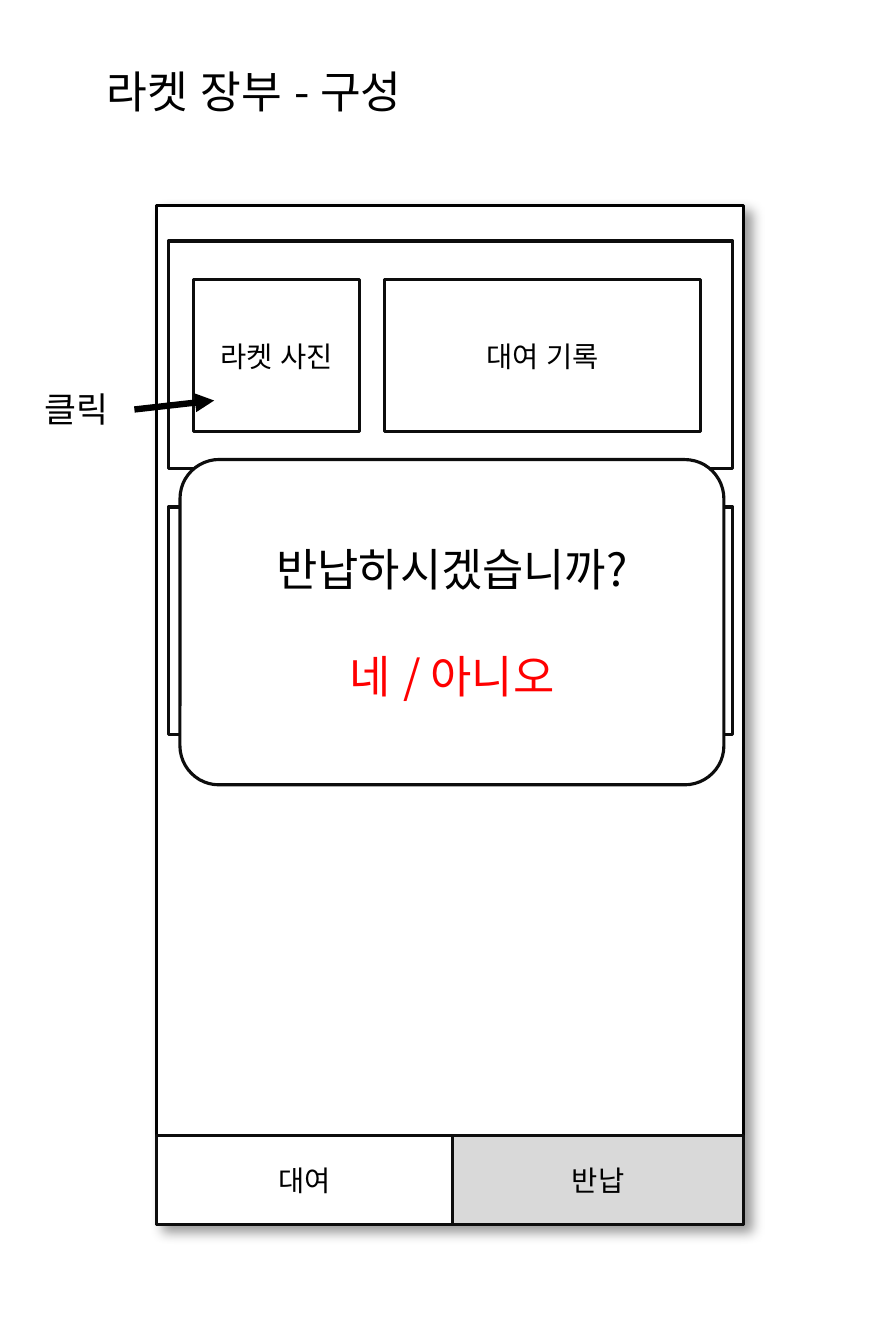
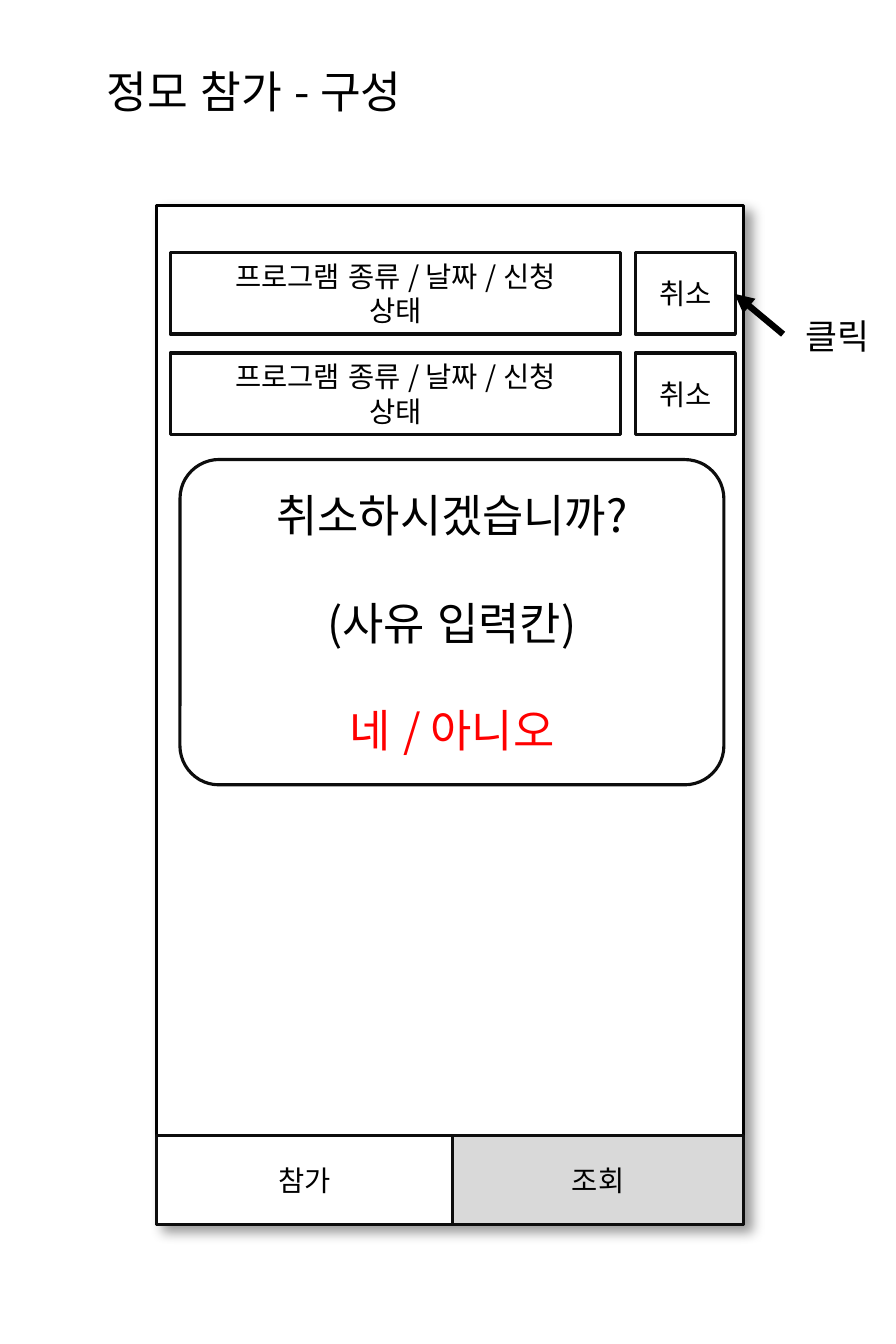
from typing import NamedTuple

from lxml.etree import SubElement
from pptx import Presentation
from pptx.dml.color import RGBColor
from pptx.enum.lang import MSO_LANGUAGE_ID as Language
from pptx.enum.shapes import MSO_CONNECTOR as Connector, MSO_SHAPE as Shape
from pptx.enum.text import MSO_ANCHOR as Anchor, MSO_AUTO_SIZE as AutoSize, PP_ALIGN as Align
from pptx.oxml.ns import qn
from pptx.util import Cm, Pt

BLACK = RGBColor(0x00, 0x00, 0x00)
OUTLINE = RGBColor(0x0D, 0x0D, 0x0D)
WHITE = RGBColor(0xFF, 0xFF, 0xFF)
GREY = RGBColor(0xD9, 0xD9, 0xD9)
RED = RGBColor(0xFF, 0x00, 0x00)
FONT = "Noto Sans CJK KR"
LINE_HEIGHT = 1.2
TITLE_ONLY = 5


class Area(NamedTuple):
    """Position and size in centimetres."""
    left: float
    top: float
    width: float
    height: float

    def lengths(self) -> list[Cm]:
        return [Cm(value) for value in self]

    def below(self, distance: float) -> "Area":
        return self._replace(top=self.top + distance)


class Point(NamedTuple):
    x: float
    y: float


class Line(NamedTuple):
    text: str
    color: RGBColor = BLACK


class Click(NamedTuple):
    """A click label with its arrow."""
    label: Area
    start: Point
    end: Point


TITLE = Area(0.94, 0.58, 4.09, 0.86)
PHONE = Area(1.75, 2.29, 6.55, 11.38)
TAB_HEIGHT = 1.0
TAB_WIDTH = 3.3
DIALOG = Area(2.01, 5.13, 6.07, 3.63)
ANSWER = Line("네 / 아니오", RED)

CARD = Area(1.88, 2.69, 6.3, 2.54)
CARD_PITCH = 2.97
PHOTO = Area(2.16, 3.12, 1.85, 1.7)
RECORD = Area(4.29, 3.12, 3.53, 1.7)

PROGRAM = Area(1.9, 2.82, 5.03, 0.91)
CANCEL = Area(7.09, 2.82, 1.12, 0.91)
ROW_PITCH = 1.12


def write(frame, *lines: Line, size: float = 9, align=Align.CENTER,
          wrap: bool = True, inset: float = 0.25, gap: float = 0) -> None:
    """Fill a text frame with one paragraph per line, gap points apart."""
    frame.auto_size = AutoSize.NONE
    frame.word_wrap = wrap
    frame.vertical_anchor = Anchor.MIDDLE
    frame.margin_left = frame.margin_right = Cm(inset)
    frame.margin_top = frame.margin_bottom = Cm(0.13)
    for index, line in enumerate(lines):
        para = frame.add_paragraph() if index else frame.paragraphs[0]
        para.alignment = align
        para.line_spacing = Pt(size * LINE_HEIGHT)
        para.space_before = Pt(gap if index else 0)
        span = para.add_run()
        span.text = line.text
        span.font.size = Pt(size)
        span.font.name = FONT
        span.font.color.rgb = line.color
        span.font.language_id = Language.KOREAN
        SubElement(span.font._element, qn("a:ea"), typeface=FONT)


def add_box(shapes, area: Area, text: str = "", fill: RGBColor = WHITE,
            line: RGBColor = OUTLINE, kind=Shape.RECTANGLE, inset: float = 0.25):
    box = shapes.add_shape(kind, *area.lengths())
    box.shadow.inherit = False
    box.fill.solid()
    box.fill.fore_color.rgb = fill
    box.line.color.rgb = line
    box.line.width = Pt(1)
    if text:
        write(box.text_frame, Line(text), inset=inset)
    return box


def add_phone(page) -> None:
    phone = add_box(page.shapes, PHONE, line=BLACK)
    effects = phone._element.spPr.find(qn("a:effectLst"))
    shadow = SubElement(effects, qn("a:outerShdw"), blurRad=str(Pt(4)), dist=str(Pt(3)),
                        dir="2700000", algn="tl", rotWithShape="0")
    color = SubElement(shadow, qn("a:srgbClr"), val=str(BLACK))
    SubElement(color, qn("a:alpha"), val="40000")


def add_tabs(page, first: str, selected: str) -> None:
    bar = Area(PHONE.left, PHONE.top + PHONE.height - TAB_HEIGHT, PHONE.width, TAB_HEIGHT)
    add_box(page.shapes, bar)
    add_box(page.shapes, bar._replace(width=TAB_WIDTH), first)
    rest = bar._replace(left=bar.left + TAB_WIDTH, width=bar.width - TAB_WIDTH)
    add_box(page.shapes, rest, selected, fill=GREY)


def add_screen(deck, title: str, tabs: tuple[str, str]):
    """Add a page with its title, the empty phone and the tab bar."""
    page = deck.slides.add_slide(deck.slide_layouts[TITLE_ONLY])
    heading = page.shapes.title
    heading.left, heading.top, heading.width, heading.height = TITLE.lengths()
    write(heading.text_frame, Line(title), size=14, align=Align.LEFT, wrap=False)
    add_phone(page)
    add_tabs(page, *tabs)
    return page


def add_dialog(page, *lines: Line) -> None:
    dialog = add_box(page.shapes, DIALOG, kind=Shape.ROUNDED_RECTANGLE)
    dialog.adjustments[0] = 0.12
    write(dialog.text_frame, *lines, size=14.2, gap=17)


def add_click(page, click: Click) -> None:
    ends = [Cm(value) for value in (*click.start, *click.end)]
    arrow = page.shapes.add_connector(Connector.STRAIGHT, *ends)
    arrow.line.color.rgb = BLACK
    arrow.line.width = Pt(2)
    SubElement(arrow.line._get_or_add_ln(), qn("a:tailEnd"), type="triangle")
    SubElement(arrow._element.spPr, qn("a:effectLst"))
    label = page.shapes.add_textbox(*click.label.lengths())
    write(label.text_frame, Line("클릭"), size=11, align=Align.LEFT, wrap=False)


def add_racket_page(deck) -> None:
    page = add_screen(deck, "라켓 장부 - 구성", ("대여", "반납"))
    card = page.shapes.add_group_shape().shapes
    add_box(card, CARD)
    add_box(card, PHOTO, "라켓 사진")
    add_box(card, RECORD, "대여 기록")
    add_box(page.shapes, CARD.below(CARD_PITCH))
    add_click(page, Click(Area(0.25, 4.19, 1.27, 0.74), Point(1.5, 4.57), Point(2.39, 4.47)))
    add_dialog(page, Line("반납하시겠습니까?"), ANSWER)


def add_meeting_page(deck) -> None:
    page = add_screen(deck, "정모 참가 - 구성", ("참가", "조회"))
    for row in range(2):
        offset = row * ROW_PITCH
        add_box(page.shapes, PROGRAM.below(offset), "프로그램 종류 / 날짜 / 신청 상태", inset=0.4)
        add_box(page.shapes, CANCEL.below(offset), "취소")
    add_dialog(page, Line("취소하시겠습니까?"), Line("(사유 입력칸)"), ANSWER)
    add_click(page, Click(Area(8.74, 3.38, 1.27, 0.74), Point(8.74, 3.73), Point(8.2, 3.28)))


def main() -> None:
    deck = Presentation()
    deck.slide_width, deck.slide_height = Cm(10), Cm(15)
    add_racket_page(deck)
    add_meeting_page(deck)
    deck.save("out.pptx")


if __name__ == "__main__":
    main()
